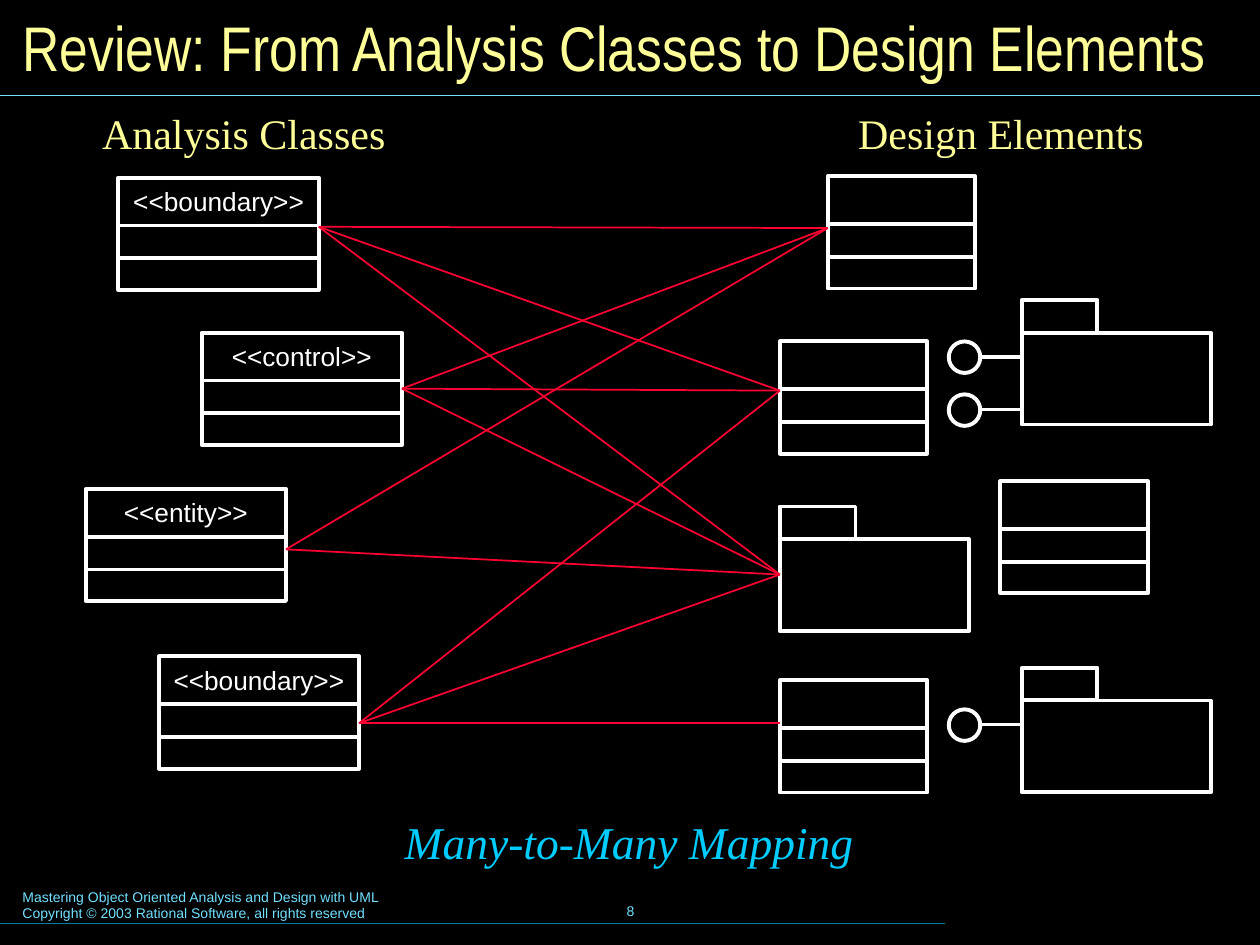
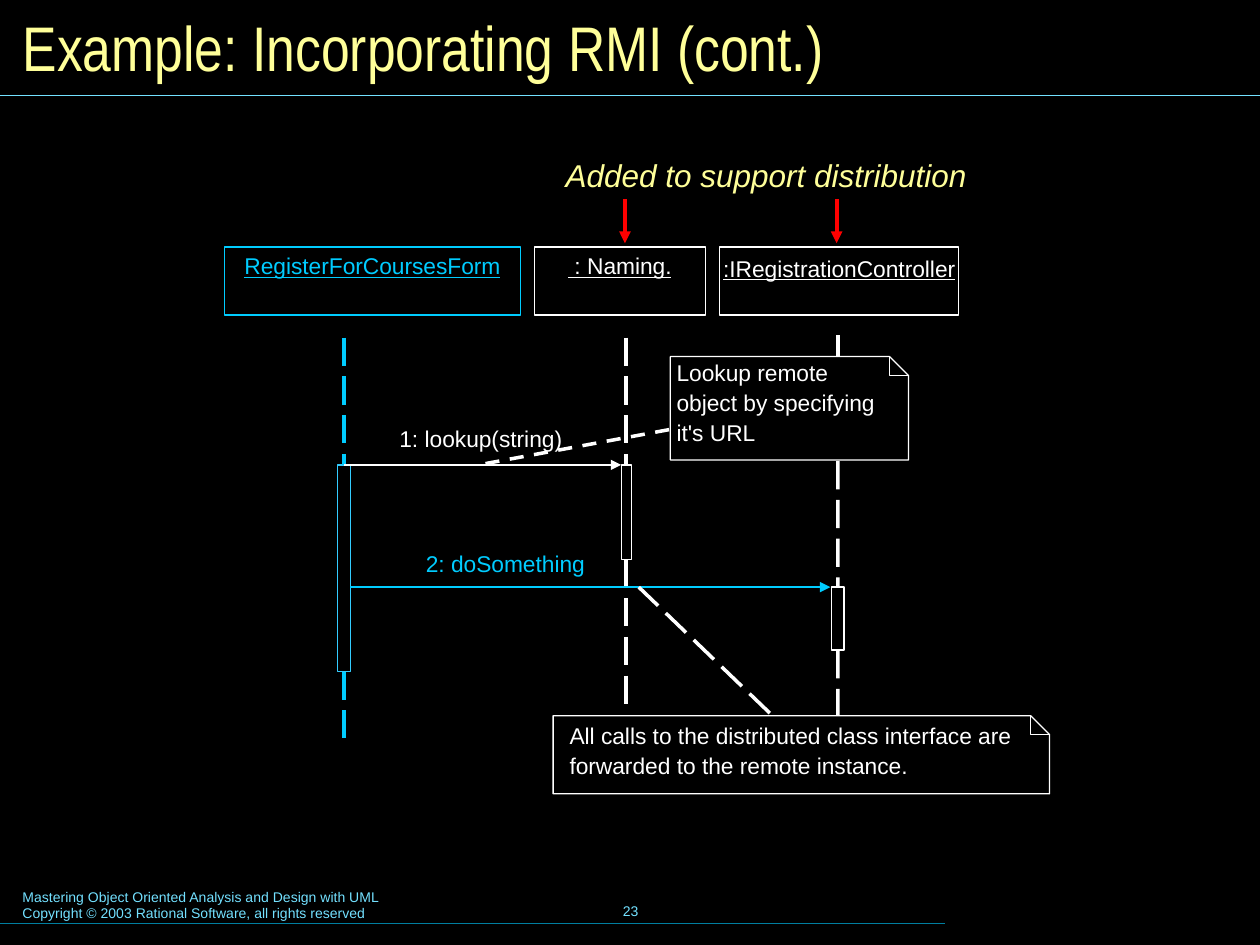
import pptx
import pptx.dml.color
import pptx.enum.dml
import pptx.enum.shapes
import pptx.enum.text
import pptx.oxml
import pptx.oxml.ns
import pptx.util
import lxml.etree

WHITE, YELLOW, CYAN, PALE = "FFFFFF", "FFFF99", "00CCFF", "73E1FF"
TEAL, CRIMSON, RED = "007E9F", "FF0033", "FF0000"
W, H = 10, 7.5
LEFT = pptx.enum.text.PP_ALIGN.LEFT
CENTER = pptx.enum.text.PP_ALIGN.CENTER
TOP = pptx.enum.text.MSO_ANCHOR.TOP
MIDDLE = pptx.enum.text.MSO_ANCHOR.MIDDLE
DASH = pptx.enum.dml.MSO_LINE.DASH
LONG_DASH = pptx.enum.dml.MSO_LINE.LONG_DASH
RECT = pptx.enum.shapes.MSO_SHAPE.RECTANGLE
OVAL = pptx.enum.shapes.MSO_SHAPE.OVAL
SIDE_TOP, SIDE_LEFT, SIDE_BOTTOM, SIDE_RIGHT = range(4)

FOOTER = ("Mastering Object Oriented Analysis and Design with UML\n"
          "Copyright © 2003 Rational Software, all rights reserved")

# Mapping slide: key -> (stereotype, left, top, link height or None for mid-side)
ANALYSIS = {
    "boundary 1": ("<<boundary>>", 0.94, 1.41, 1.8),
    "control": ("<<control>>", 1.6, 2.64, None),
    "entity": ("<<entity>>", 0.68, 3.88, 4.36),
    "boundary 2": ("<<boundary>>", 1.26, 5.21, 5.74),
}
DESIGN_CLASSES = [(6.57, 1.4), (6.19, 2.71), (7.94, 3.82), (6.19, 5.4)]
# Packages: left, body top, tops of the interface circles
PACKAGES = [(8.11, 2.64, (2.71, 3.13)), (6.19, 4.28, ()), (8.11, 5.56, (5.63,))]
TARGETS = {"class 1": (6.57, 1.81), "class 2": (6.19, 3.1),
           "package": (6.19, 4.56), "class 3": (6.19, 5.74)}
MAPPING = {
    "boundary 1": ("class 1", "class 2", "package"),
    "control": ("class 1", "class 2", "package"),
    "entity": ("class 1", "package"),
    "boundary 2": ("class 2", "package", "class 3"),
}
# Headings: text, left, top, width, height, size, colour, italic
HEADINGS = [
    ("Analysis Classes", 0.6, 0.79, 2.67, 0.52, 24, YELLOW, False),
    ("Design Elements", 6.61, 0.79, 2.67, 0.52, 24, YELLOW, False),
    ("Many-to-Many Mapping", 2.83, 6.4, 4.33, 0.55, 26, CYAN, True),
]

# Sequence slide: name, box left, box width, text inset, colour,
# activation bar (left, top, width, height, colour), lifeline top and bottom
OBJECTS = [
    ("RegisterForCoursesForm", 1.78, 2.35, 0.04, CYAN,
     (2.68, 3.69, 0.1, 1.64, "33CCFF"), 2.68, 5.88),
    (" : Naming.", 4.24, 1.36, 0.04, WHITE,
     (4.93, 3.69, 0.08, 0.75, WHITE), 2.68, 5.65),
    (":IRegistrationController", 5.71, 1.9, 0.06, WHITE,
     (6.6, 4.66, 0.1, 0.5, WHITE), 2.66, 5.68),
]
# Notes: left, top, width, height, text left, text top, text
NOTES = [
    (5.32, 2.83, 1.89, 0.82, 5.37, 2.85,
     "Lookup remote\nobject by specifying\nit's URL"),
    (4.39, 5.68, 3.94, 0.62, 4.52, 5.73,
     "All calls to the distributed class interface are\n"
     "forwarded to the remote instance."),
]
NOTE_LINKS = [((5.31, 3.41), (3.85, 3.68), DASH),
              ((6.11, 5.66), (5.07, 4.66), LONG_DASH)]
MESSAGES = [("1: lookup(string)", 3.17, 3.37, WHITE),
            ("2: doSomething", 3.38, 4.36, CYAN)]
ADDED_ARROWS = (4.96, 6.64)


def inches(*values):
    return [pptx.util.Inches(v) for v in values]


def color(hex_):
    return pptx.dml.color.RGBColor.from_string(hex_)


def write(sp, text, size=13, font="Arial", fill=WHITE, italic=False,
          underline=False, align=LEFT, anchor=TOP, margins=(0, 0), gap=0):
    """Fill a shape with text; gap is the space after each line in points."""
    tf = sp.text_frame
    tf.text = text
    tf.word_wrap = True
    tf.auto_size = pptx.enum.text.MSO_AUTO_SIZE.NONE
    tf.vertical_anchor = anchor
    tf.margin_left = tf.margin_right = pptx.util.Inches(margins[0])
    tf.margin_top = tf.margin_bottom = pptx.util.Inches(margins[1])
    for p in tf.paragraphs:
        p.alignment = align
        p.space_after = pptx.util.Pt(gap)
        for r in p.runs:
            r.font.size, r.font.name = pptx.util.Pt(size), font
            r.font.italic, r.font.underline = italic, underline
            r.font.color.rgb = color(fill)


def label(s, text, x, y, w, h, **fmt):
    write(s.shapes.add_textbox(*inches(x, y, w, h)), text, **fmt)


def outline(sp, hex_, width):
    sp.shadow.inherit = False
    sp.fill.background()
    sp.line.color.rgb = color(hex_)
    sp.line.width = pptx.util.Pt(width)
    return sp


def box(s, x, y, w, h, hex_=WHITE, width=2.25, kind=RECT):
    return outline(s.shapes.add_shape(kind, *inches(x, y, w, h)), hex_, width)


def line(s, start, end, hex_=WHITE, width=2.25, dash=None, arrow=False):
    """Each end is a point (x, y) or a joint (shape, side)."""
    joints = [hasattr(e[0], "shape_id") for e in (start, end)]
    points = [(0, 0) if j else e for j, e in zip(joints, (start, end))]
    c = s.shapes.add_connector(pptx.enum.shapes.MSO_CONNECTOR.STRAIGHT,
                               *inches(*points[0], *points[1]))
    if joints[0]:
        c.begin_connect(*start)
    if joints[1]:
        c.end_connect(*end)
    c.line.color.rgb = color(hex_)
    c.line.width = pptx.util.Pt(width)
    if dash:
        c.line.dash_style = dash
    qn = pptx.oxml.ns.qn
    if arrow:
        ln = c.line._get_or_add_ln()
        lxml.etree.SubElement(ln, qn("a:tailEnd"), type="triangle")
    lxml.etree.SubElement(c._element.spPr, qn("a:effectLst"))


def outline_path(s, points, close):
    start, *rest = [(x * 100, y * 100) for x, y in points]
    fb = s.shapes.build_freeform(*start, scale=9144)
    fb.add_line_segments(rest, close=close)
    outline(fb.convert_to_shape(), WHITE, 0)


def new_slide(prs, title, number):
    s = prs.slides.add_slide(prs.slide_layouts[5])
    sp = s.shapes.title
    sp.left, sp.top, sp.width, sp.height = inches(0.08, 0.08, 9.84, 0.58)
    write(sp, title, size=36, font="Arial Narrow", fill=YELLOW,
          anchor=MIDDLE, margins=(0.1, 0.05))
    line(s, (0, 0.76), (W, 0.76), PALE, 0.75)
    # Footer
    label(s, FOOTER, 0.08, 7, 5.1, 0.37, size=8, fill=PALE, margins=(0.1, 0.05))
    label(s, number, 3.42, 6.98, 3.17, 0.5, size=8, fill=PALE,
          align=CENTER, anchor=MIDDLE, margins=(0.1, 0.05))
    line(s, (0, 7.33), (0.75 * W, 7.33), TEAL, 0.75)
    return s


def uml_class(s, x, y, w):
    sp = box(s, x, y, w, 0.89)
    for dy in (0.38, 0.64):
        line(s, (x, y + dy), (x + w, y + dy))
    return sp


def package(s, x, y, circles):
    box(s, x, y, 1.5, 0.73)
    box(s, x, y - 0.26, 0.6, 0.26)
    for top in circles:
        box(s, x - 0.58, top, 0.25, 0.25, kind=OVAL)
        line(s, (x - 0.33, top + 0.12), (x, top + 0.12))


def note(s, x, y, w, h, tx, ty, text):
    fold = 0.15
    right, bottom = x + w, y + h
    outline_path(s, [(x, y), (right - fold, y), (right, y + fold),
                     (right, bottom), (x, bottom)], True)
    outline_path(s, [(right - fold, y), (right - fold, y + fold),
                     (right, y + fold)], False)
    label(s, text, tx, ty, right - tx, bottom - ty, gap=1.4)


def mapping_slide(prs):
    s = new_slide(prs, "Review: From Analysis Classes to Design Elements", "8")
    for text, x, y, w, h, size, fill, italic in HEADINGS:
        label(s, text, x, y, w, h, size=size, font="Times New Roman", fill=fill,
              italic=italic, align=CENTER, margins=(0.12, 0.06))
    for x, y in DESIGN_CLASSES:
        uml_class(s, x, y, 1.17)
    for x, y, circles in PACKAGES:
        package(s, x, y, circles)
    for key, (stereotype, x, y, link_y) in ANALYSIS.items():
        sp = uml_class(s, x, y, 1.59)
        write(sp, stereotype, size=15, align=CENTER, margins=(0.05, 0.06))
        start = (x + 1.59, link_y) if link_y else (sp, SIDE_RIGHT)
        for target in MAPPING[key]:
            line(s, start, TARGETS[target], CRIMSON, 1)


def sequence_slide(prs):
    s = new_slide(prs, "Example: Incorporating RMI (cont.)", "23")
    label(s, "Added to support distribution", 4.39, 1.19, 3.51, 0.4, size=18,
          fill=YELLOW, italic=True, margins=(0.1, 0.05))
    for x in ADDED_ARROWS:
        line(s, (x, 1.58), (x, 1.93), RED, arrow=True)

    # Objects, activation bars and lifelines
    bars = []
    for name, x, w, inset, hex_, (bx, by, bw, bh, bar_hex), top, bottom in OBJECTS:
        head = box(s, x, 1.96, w, 0.54, hex_, 0)
        write(head, name, fill=hex_, underline=True, align=CENTER,
              margins=(0, inset))
        bar = box(s, bx, by, bw, bh, bar_hex, 0.75)
        bars.append(bar)
        mid = bx + bw / 2
        if name == ":IRegistrationController":  # passes behind the lookup note
            line(s, (mid, top), (mid, 2.83), hex_, 0, LONG_DASH)
            top = 3.66
        line(s, (mid, top), (bar, SIDE_TOP), hex_, 0, LONG_DASH)
        line(s, (bar, SIDE_BOTTOM), (mid, bottom), hex_, 0, LONG_DASH)

    # Messages
    line(s, (bars[0], SIDE_TOP), (4.93, 3.69), WHITE, 1, arrow=True)
    line(s, (2.78, 4.66), (6.59, 4.66), CYAN, 1, arrow=True)
    for text, x, y, hex_ in MESSAGES:
        label(s, text, x, y, 1.5, 0.22, fill=hex_)

    # Notes
    for item in NOTES:
        note(s, *item)
    for start, end, dash in NOTE_LINKS:
        line(s, start, end, WHITE, 0, dash)


def main():
    prs = pptx.Presentation()
    prs.slide_width, prs.slide_height = inches(W, H)
    fill = prs.slide_master.background.fill
    fill.solid()
    fill.fore_color.rgb = color("000000")
    mapping_slide(prs)
    sequence_slide(prs)
    prs.save("out.pptx")


if __name__ == "__main__":
    main()
